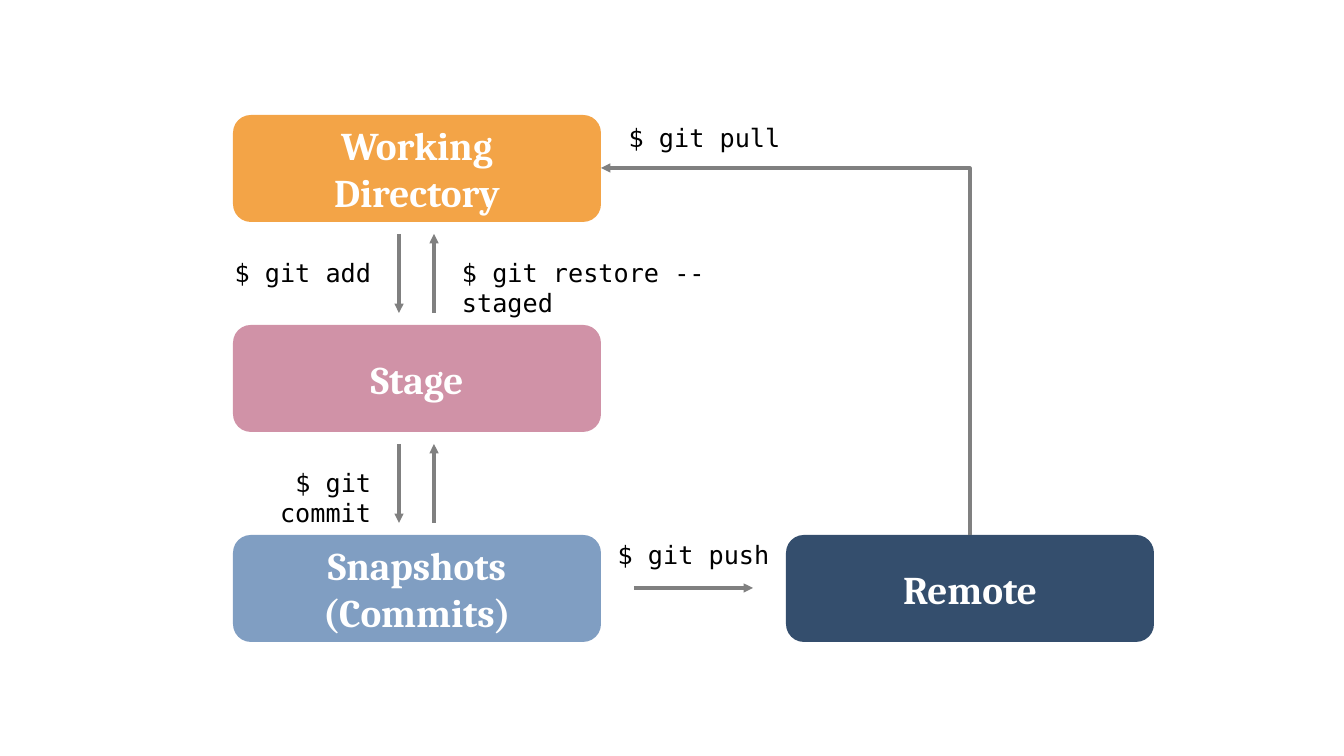
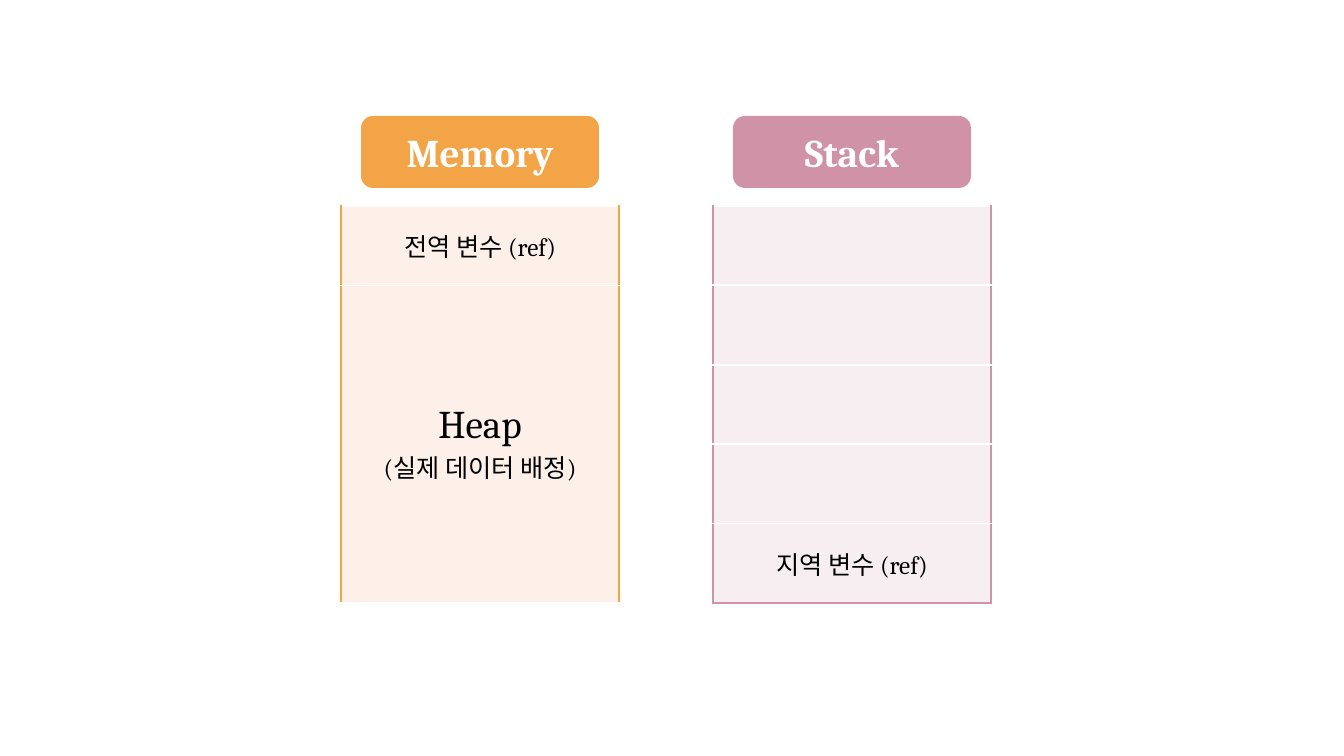
"""Builds two diagrams: a git workflow and a memory layout."""
from dataclasses import dataclass

from lxml.etree import SubElement
from pptx import Presentation
from pptx.dml.color import RGBColor as Rgb
from pptx.enum.shapes import MSO_CONNECTOR as Link, MSO_SHAPE as Geom
from pptx.enum.text import MSO_ANCHOR as Anchor, MSO_AUTO_SIZE as Auto, PP_ALIGN as Align
from pptx.oxml import parse_xml
from pptx.oxml.ns import nsdecls, qn
from pptx.slide import Slide
from pptx.table import _Cell as Cell
from pptx.text.text import TextFrame as Frame
from pptx.util import Emu, Pt

HUES = {
    "white": "FFFFFF", "black": "000000", "gray": "808080",
    "orange": "F3A447", "pink": "D092A7", "blue": "809EC2", "navy": "344E6D",
    "cream": "FDF0E9", "blush": "F7EEF1",
}
SERIF, MONO = "Cambria", "DejaVu Sans Mono"
BIG, SMALL = 28, 18


@dataclass
class Box:
    text: str
    hue: str
    x: int
    y: int
    w: int = 368
    h: int = 107


@dataclass
class Label:
    text: str
    x: int
    y: int
    w: int
    align: Align = Align.CENTER
    h: int = 40


@dataclass
class Arrow:
    start: tuple[int, int]
    stop: tuple[int, int]


@dataclass
class Row:
    lines: list[tuple[str, int]]
    share: int = 1


@dataclass
class Stack:
    title: str
    hue: str
    tint: str
    x: int
    rule: float
    floor: str
    rows: list[Row]


def px(n: float) -> Emu:
    """Turn pixels into EMU."""
    return Emu(round(n * 914400 / 100.8))


def color(name: str) -> Rgb:
    """Look up a named colour."""
    return Rgb.from_string(HUES[name])


def write(frame: Frame, lines: list[tuple[str, int]], font: str, hue: str,
          align: Align = Align.CENTER, bold: bool = False) -> None:
    """Write one paragraph for each line and size."""
    for i, (text, size) in enumerate(lines):
        para = frame.add_paragraph() if i else frame.paragraphs[0]
        para.text, para.alignment = text, align
        para.font.name, para.font.size = font, Pt(size)
        para.font.bold, para.font.color.rgb = bold, color(hue)


def draw_box(slide: Slide, box: Box) -> None:
    """Draw a rounded box with a bold title."""
    shape = slide.shapes.add_shape(Geom.ROUNDED_RECTANGLE, *map(px, (box.x, box.y, box.w, box.h)))
    shape.shadow.inherit = False
    shape.fill.solid()
    shape.fill.fore_color.rgb = color(box.hue)
    shape.line.fill.background()
    shape.text_frame.vertical_anchor = Anchor.MIDDLE
    lines = [(text, BIG) for text in box.text.split("\n")]
    write(shape.text_frame, lines, SERIF, "white", bold=True)


def draw_label(slide: Slide, label: Label) -> None:
    """Draw a command in a text box."""
    shape = slide.shapes.add_textbox(*map(px, (label.x, label.y, label.w, label.h)))
    shape.text_frame.word_wrap = True
    shape.text_frame.auto_size = Auto.SHAPE_TO_FIT_TEXT
    write(shape.text_frame, [(label.text, SMALL)], MONO, "black", label.align)


def draw_arrow(slide: Slide, arrow: Arrow, end: str = "tailEnd", bent: bool = False) -> None:
    """Draw a straight or bent line with one arrowhead."""
    kind = Link.ELBOW if bent else Link.STRAIGHT
    line = slide.shapes.add_connector(kind, *map(px, (*arrow.start, *arrow.stop)))
    line.line.color.rgb, line.line.width = color("gray"), Pt(2.25)
    props = line._element.spPr
    if bent:
        props.find(qn("a:prstGeom")).set("prst", "bentConnector2")
    SubElement(props.find(qn("a:ln")), qn(f"a:{end}"), type="triangle")
    SubElement(props, qn("a:effectLst"))


def edge(cell: Cell, spot: int, side: str, hue: str, width: float) -> None:
    """Set one border of a cell."""
    xml = (f'<a:ln{side} {nsdecls("a")} w="{Pt(width)}"><a:solidFill>'
           f'<a:srgbClr val="{HUES[hue]}"/></a:solidFill></a:ln{side}>')
    cell._tc.get_or_add_tcPr().insert(spot, parse_xml(xml))


def draw_stack(slide: Slide, stack: Stack) -> None:
    """Draw a titled column of memory cells."""
    high, count = 397, len(stack.rows)
    grid = slide.shapes.add_table(count, 1, *map(px, (stack.x, 206, 278, high))).table
    grid.first_row = grid.horz_banding = False
    unit = high / sum(row.share for row in stack.rows)
    for i, row in enumerate(stack.rows):
        grid.rows[i].height = px(unit * row.share)
        cell = grid.cell(i, 0)
        cell.fill.solid()
        cell.fill.fore_color.rgb = color(stack.tint)
        cell.vertical_anchor = Anchor.MIDDLE
        write(cell.text_frame, row.lines, SERIF, "black")
        base = stack.floor if i == count - 1 else "white"
        edges = [("L", stack.hue, 1.5), ("R", stack.hue, 1.5),
                 ("T", "white", stack.rule if i else 1), ("B", base, stack.rule)]
        for spot, (side, hue, width) in enumerate(edges):
            edge(cell, spot, side, hue, width)
    draw_box(slide, Box(stack.title, stack.hue, stack.x + 20, 116, 238, 72))


def draw_flow(slide: Slide) -> None:
    """Draw the git workflow."""
    left, top, step = 233, 115, 210
    parts = [("Working\nDirectory", "orange"), ("Stage", "pink"), ("Snapshots\n(Commits)", "blue")]
    for i, (text, hue) in enumerate(parts):
        draw_box(slide, Box(text, hue, left, top + i * step))
    draw_box(slide, Box("Remote", "navy", 786, top + 2 * step))
    for y in (234, 234 + step):
        draw_arrow(slide, Arrow((399, y), (399, y + 79)))
        draw_arrow(slide, Arrow((434, y + 79), (434, y)))
    draw_arrow(slide, Arrow((634, 588), (753, 588)))
    draw_arrow(slide, Arrow((601, 168), (970, 535)), "headEnd", True)
    labels = [
        Label("$ git add", 191, 252, 190, Align.RIGHT),
        Label("$ git commit", 191, 462, 190, Align.RIGHT),
        Label("$ git restore --staged", 452, 252, 346, Align.LEFT),
        Label("$ git push", 601, 534, 185),
        Label("$ git pull", 612, 117, 185),
    ]
    for label in labels:
        draw_label(slide, label)


def draw_memory(slide: Slide) -> None:
    """Draw the memory and stack columns."""
    heap = Row([("Heap", BIG), ("(실제 데이터 배정)", SMALL)], 4)
    stacks = [
        Stack("Memory", "orange", "cream", 341, 1, "white",
              [Row([("전역 변수 (ref)", SMALL)]), heap]),
        Stack("Stack", "pink", "blush", 713, 1.5, "pink",
              [Row([("", SMALL)])] * 4 + [Row([("지역 변수 (ref)", SMALL)])]),
    ]
    for stack in stacks:
        draw_stack(slide, stack)


def main() -> None:
    """Build and save the slides."""
    deck = Presentation()
    deck.slide_width, deck.slide_height = px(1344), px(756)
    for draw in (draw_flow, draw_memory):
        draw(deck.slides.add_slide(deck.slide_layouts[6]))
    deck.save("out.pptx")


main()
